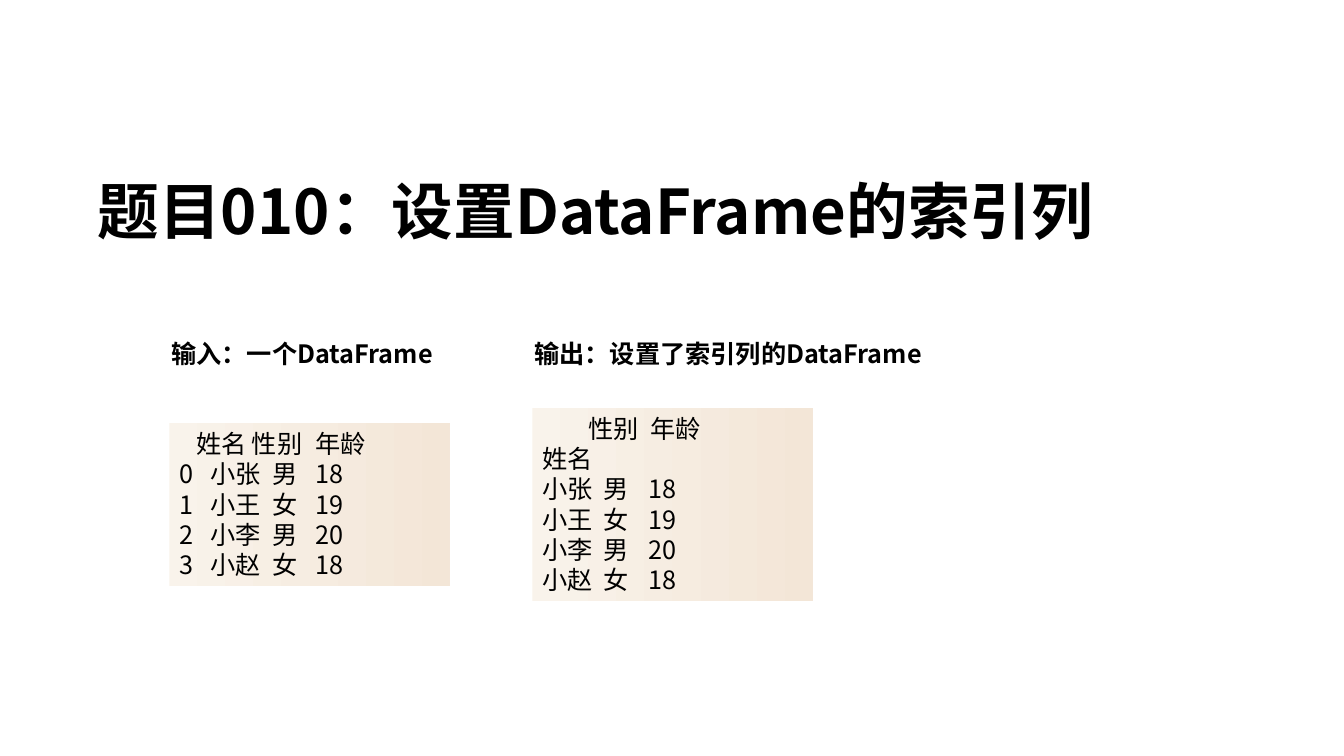
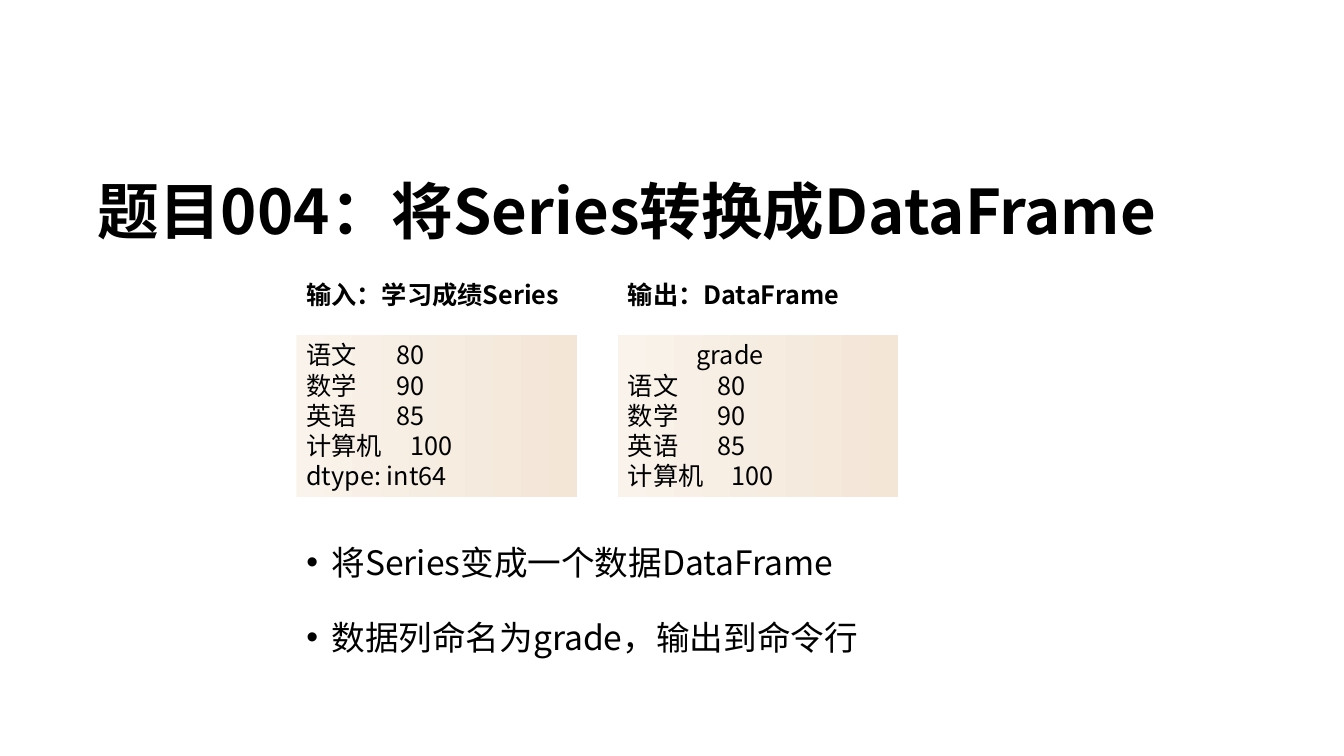
from lxml import etree
from pptx import Presentation
from pptx import util as u
from pptx.dml.color import RGBColor
from pptx.enum import shapes, text
from pptx.oxml.ns import qn

COLOURS = {"text": "000000", "panel_start": "F9F3EB", "panel_end": "F3E6D7"}
FONT = "Noto Sans CJK SC"
PANEL_WIDTH = 2.78
LINE_HEIGHT = 0.3


def write(box, lines, size, bold=False, spacing=None, gap=0, bullet=False):
    """Fill a box with lines, each a pair of text and tab stops in inches."""
    frame = box.text_frame
    frame.word_wrap = True
    frame.vertical_anchor = text.MSO_ANCHOR.TOP
    for index, (line, stops) in enumerate(lines):
        para = frame.paragraphs[0] if index == 0 else frame.add_paragraph()
        para.text = line
        para.alignment = text.PP_ALIGN.LEFT
        if spacing:
            para.line_spacing = spacing
        if index and gap:
            para.space_before = u.Pt(gap)
        properties = para._p.get_or_add_pPr()
        if bullet:
            properties.set("marL", str(u.Inches(0.25)))
            properties.set("indent", str(-u.Inches(0.25)))
            etree.SubElement(properties, qn("a:buFont"), typeface="Arial")
            etree.SubElement(properties, qn("a:buChar"), char="•")
        if stops:
            tabs = etree.SubElement(properties, qn("a:tabLst"))
            for stop in stops:
                etree.SubElement(tabs, qn("a:tab"), pos=str(u.Inches(stop)), algn="l")
        para.font.name = FONT
        para.font.size = u.Pt(size)
        para.font.bold = bold
        para.font.color.rgb = RGBColor.from_string(COLOURS["text"])
        latin = properties.find(qn("a:defRPr")).find(qn("a:latin"))
        latin.addnext(latin.makeelement(qn("a:ea"), typeface=FONT))


# Tab stops of the printed columns
NAME_HEAD, NAME_ROW = (0.17, 0.72, 1.35), (0.31, 0.92, 1.35)
INDEX_HEAD, INDEX_ROW = (0.46, 1.07), (0.61, 1.05)
students = [("小张", "男", 18), ("小王", "女", 19), ("小李", "男", 20), ("小赵", "女", 18)]
numbered = [(f"{i}\t{name}\t{sex}\t{age}", NAME_ROW)
            for i, (name, sex, age) in enumerate(students)]
indexed = [(f"{name}\t{sex}\t{age}", INDEX_ROW) for name, sex, age in students]
grades = [("语文\t80", (0.89,)), ("数学\t90", (0.89,)),
          ("英语\t85", (0.89,)), ("计算机\t100", (1.03,))]

# Each panel: heading, heading left, top and width, panel left and top, lines
pages = [
    {
        "title": "题目010：设置DataFrame的索引列",
        "panels": [
            ("输入：一个DataFrame", 1.6, 3.31, 5.52, 1.68, 4.2,
             [("\t姓名\t性别\t年龄", NAME_HEAD)] + numbered),
            ("输出：设置了索引列的DataFrame", 5.2, 3.31, 5.52, 5.28, 4.05,
             [("\t性别\t年龄", INDEX_HEAD), ("姓名", ())] + indexed),
        ],
        "tasks": [],
    },
    {
        "title": "题目004：将Series转换成DataFrame",
        "panels": [
            ("输入：学习成绩Series", 2.94, 2.72, PANEL_WIDTH, 2.94, 3.32,
             grades + [("dtype: int64", ())]),
            ("输出：DataFrame", 6.13, 2.72, PANEL_WIDTH, 6.13, 3.32,
             [("\tgrade", (0.68,))] + grades),
        ],
        "tasks": ["将Series变成一个数据DataFrame", "数据列命名为grade，输出到命令行"],
    },
]

deck = Presentation()
deck.slide_width, deck.slide_height = u.Inches(13.33), u.Inches(7.5)

for content in pages:
    page = deck.slides.add_slide(deck.slide_layouts[6])

    # Title
    title = page.shapes.add_textbox(u.Inches(0.87), u.Inches(1.4), u.Inches(11.5), u.Inches(1.45))
    write(title, [(content["title"], ())], 44, bold=True, spacing=0.9)
    title.text_frame.vertical_anchor = text.MSO_ANCHOR.MIDDLE

    # Headings and output panels
    for heading, left, top, width, panel_left, panel_top, lines in content["panels"]:
        label = page.shapes.add_textbox(u.Inches(left), u.Inches(top), u.Inches(width), u.Inches(0.4))
        write(label, [(heading, ())], 18, bold=True)

        panel = page.shapes.add_shape(
            shapes.MSO_SHAPE.RECTANGLE, u.Inches(panel_left), u.Inches(panel_top),
            u.Inches(PANEL_WIDTH), u.Inches(0.11 + LINE_HEIGHT * len(lines)))
        panel.shadow.inherit = False
        panel.line.fill.background()
        panel.fill.gradient()
        panel.fill.gradient_angle = 0
        for stop, name in zip(panel.fill.gradient_stops, ("panel_start", "panel_end")):
            stop.color.rgb = RGBColor.from_string(COLOURS[name])
        write(panel, lines, 18)

    # Task bullets
    if content["tasks"]:
        tasks = page.shapes.add_textbox(u.Inches(2.94), u.Inches(5.13), u.Inches(6.63), u.Inches(1.53))
        write(tasks, [(task, ()) for task in content["tasks"]], 24,
              spacing=1.5, gap=10, bullet=True)

deck.save("out.pptx")
